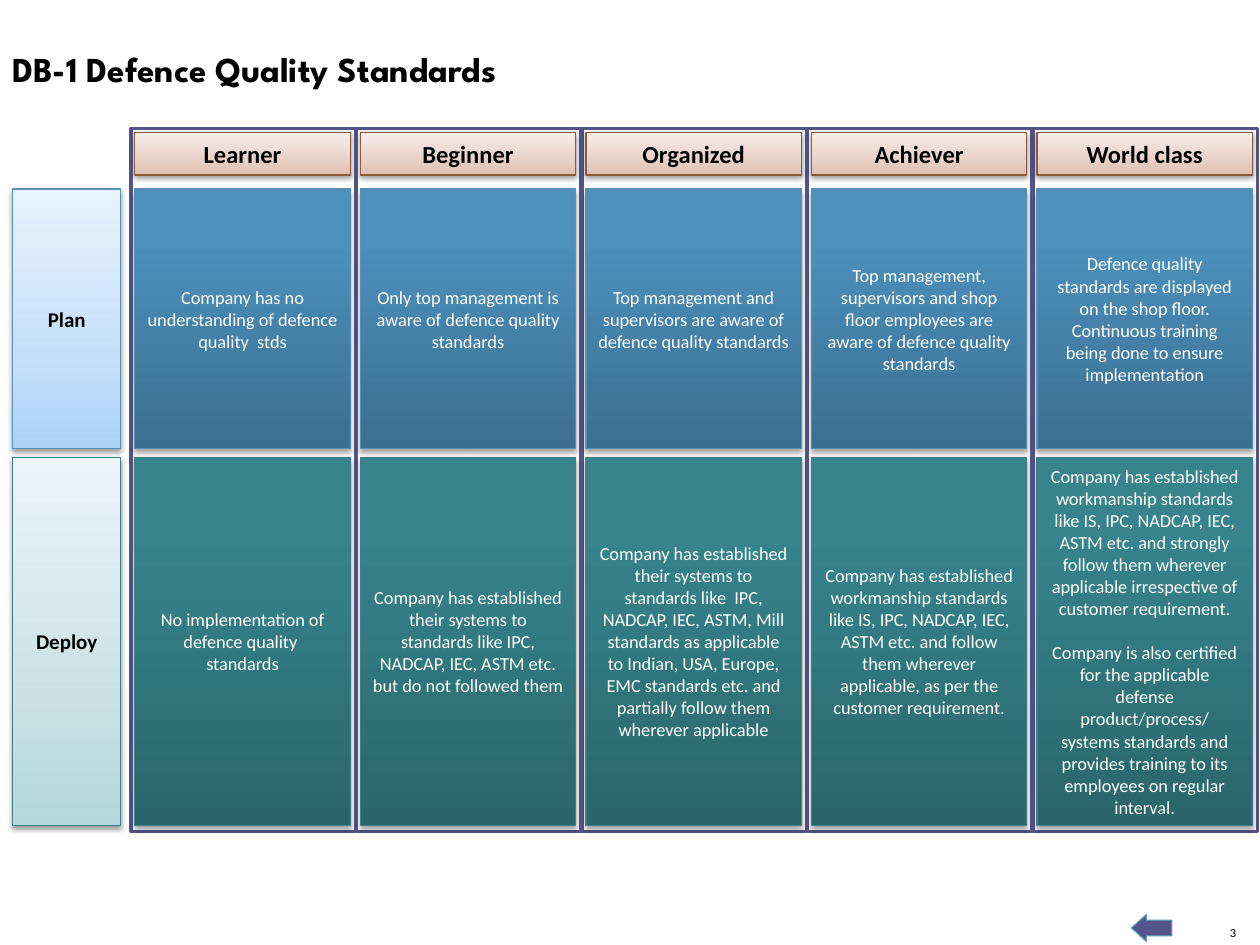
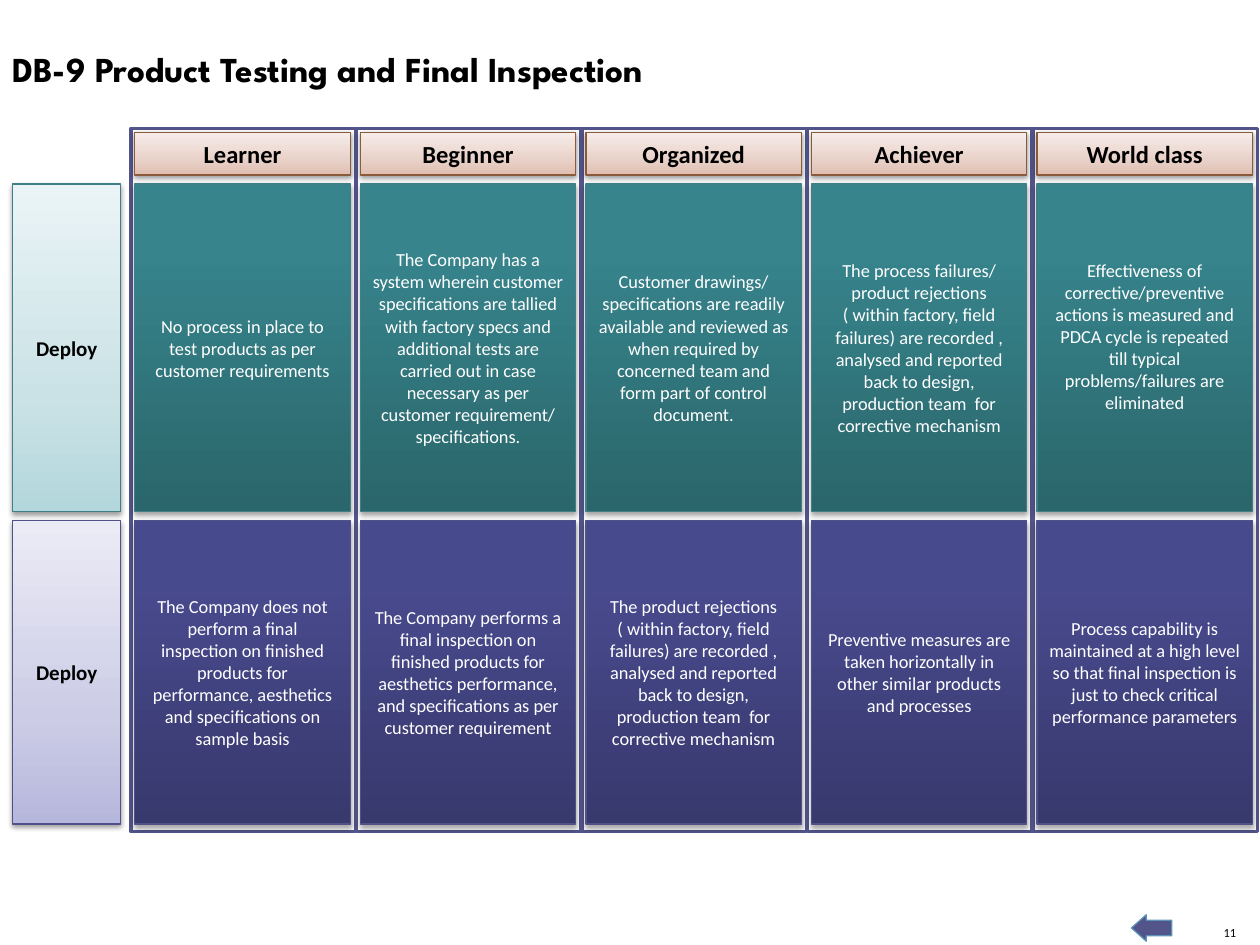
from lxml.etree import SubElement
from pptx import Presentation
from pptx.dml.color import RGBColor
from pptx.enum.shapes import MSO_SHAPE
from pptx.enum.text import MSO_ANCHOR, MSO_AUTO_SIZE, PP_ALIGN
from pptx.oxml.ns import qn
from pptx.util import Inches, Pt

BLACK = RGBColor(0x00, 0x00, 0x00)
WHITE = RGBColor(0xFF, 0xFF, 0xFF)
FRAME = RGBColor(0x53, 0x54, 0x8A)
ARROW_EDGE = RGBColor(0x5C, 0x92, 0xB5)
HEADER_EDGE = RGBColor(0x8A, 0x5B, 0x3A)
BLUE_EDGE = RGBColor(0x58, 0x8F, 0xB3)
TEAL_EDGE = RGBColor(0x40, 0x7F, 0x85)
INDIGO_EDGE = RGBColor(0x50, 0x51, 0x88)


def stops(middle, *colors):
    """Gradient stops from bottom to top, the second one at middle percent."""
    return [(at, RGBColor.from_string(color)) for at, color in zip((0, middle, 100), colors)]


HEADER_FILL = stops(35, "E0BEB0", "E8D1C8", "F7EDEA")
PALETTES = {
    "blue": {"edge": BLUE_EDGE,
             "label": stops(35, "ABD3F8", "C4DFF9", "E7F3FE"),
             "cell": stops(80, "3B6F91", "4C90BC", "4A91BF")},
    "teal": {"edge": TEAL_EDGE,
             "label": stops(35, "B3D7DC", "CAE2E6", "EAF4F6"),
             "cell": stops(80, "2A666B", "37848C", "36868E")},
    "indigo": {"edge": INDIGO_EDGE,
               "label": stops(35, "B6B7DC", "CCCCE6", "EBEBF6"),
               "cell": stops(80, "38396D", "484A8E", "474990")},
}

LEVELS = ["Learner", "Beginner", "Organized", "Achiever", "World class"]

# A cell is a list of paragraphs where it holds more than one;
# "lift" gives the extra bottom inset of the last cell in a row.
SLIDES = [
    {"title": "DB-1 Defence Quality Standards", "page": "3", "top": 1.5, "rows": [
        {"label": "Plan", "palette": "blue", "height": 2.06, "cells": [
            "Company has no understanding of defence quality  stds",
            "Only top management is aware of defence quality standards",
            "Top management and supervisors are aware of defence quality standards",
            "Top management, supervisors and shop floor employees are aware of defence "
            "quality standards",
            "Defence quality standards are displayed on the shop floor. Continuous training "
            "being done to ensure implementation",
        ]},
        {"label": "Deploy", "palette": "teal", "height": 2.92, "cells": [
            "No implementation of defence quality  standards",
            "Company has established their systems to standards like IPC, NADCAP, IEC, ASTM "
            "etc. but do not followed them ",
            "Company has established their systems to standards like  IPC, NADCAP, IEC, ASTM, "
            "Mill standards as applicable to Indian, USA, Europe, EMC standards etc. and "
            "partially follow them wherever applicable",
            "Company has established workmanship standards like IS, IPC, NADCAP, IEC, ASTM "
            "etc. and follow them wherever applicable, as per the customer requirement.",
            ["Company has established workmanship standards like IS, IPC, NADCAP, IEC, ASTM "
             "etc. and strongly follow them wherever applicable irrespective of customer "
             "requirement.",
             "Company is also certified for the applicable defense product/process/",
             "systems standards and provides training to its employees on regular interval."],
        ]},
    ]},
    {"title": "DB-9 Product Testing and Final Inspection", "page": "11", "top": 1.46, "rows": [
        {"label": "Deploy", "palette": "teal", "height": 2.6, "lift": 0.18, "cells": [
            "No process in place to test products as per customer requirements",
            "The Company has a system wherein customer specifications are tallied with factory "
            "specs and additional tests are carried out in case necessary as per customer "
            "requirement/ specifications.",
            "Customer drawings/ specifications are readily available and reviewed as when "
            "required by concerned team and form part of control document.",
            "The process failures/ product rejections ( within factory, field failures) are "
            "recorded , analysed and reported back to design, production team  for corrective "
            "mechanism",
            "Effectiveness of corrective/preventive actions is measured and PDCA cycle is "
            "repeated till typical problems/failures are eliminated",
        ]},
        {"label": "Deploy", "palette": "indigo", "height": 2.41, "cells": [
            "The Company does not perform a final inspection on finished products for "
            "performance, aesthetics and specifications on sample basis",
            "The Company performs a final inspection on finished products for aesthetics "
            "performance, and specifications as per customer requirement",
            "The product rejections ( within factory, field failures) are recorded , analysed "
            "and reported back to design, production team  for corrective mechanism",
            "Preventive measures are taken horizontally in other similar products and processes",
            "Process capability is maintained at a high level so that final inspection is just "
            "to check critical performance parameters",
        ]},
    ]},
]

TITLE_FONT = {"name": "League Spartan", "size": Pt(20), "bold": True}
PAGE_FONT = {"name": "Calibri", "size": Pt(7.1)}
HEADER_FONT = {"name": "Calibri", "size": Pt(14), "bold": True}
LABEL_FONT = {"name": "Calibri", "size": Pt(12), "bold": True}
CELL_FONT = {"name": "Calibri", "size": Pt(10.5)}
LABEL_SHADOW = {"alpha": 38, "distance": 1.6}
CELL_SHADOW = {"alpha": 35, "distance": 1.8}
SHADOW_BLUR = 3.1

LABEL_LEFT, LABEL_WIDTH = 0.1, 0.86
FRAME_LEFT, FRAME_TOP, FRAME_WIDTH, FRAME_HEIGHT = 1.04, 1.02, 1.78, 5.58
COLUMN_STEP, CELL_INSET, CELL_WIDTH = 1.79, 0.03, 1.71
HEADER_HEIGHT, ROW_GAP = 0.34, 0.07
SECTION_GAP = Pt(12.8)


def write(frame, paragraphs, font, color, align):
    for index, text in enumerate(paragraphs):
        paragraph = frame.paragraphs[0] if index == 0 else frame.add_paragraph()
        paragraph.text = text
        paragraph.alignment = align
        for key, value in font.items():
            setattr(paragraph.font, key, value)
        paragraph.font.color.rgb = color


def add_shape(slide, box, edge, weight, kind=MSO_SHAPE.RECTANGLE):
    shape = slide.shapes.add_shape(kind, *map(Inches, box))
    shape.line.color.rgb = edge
    shape.line.width = Pt(weight)
    shape.shadow.inherit = False
    return shape


def add_solid(slide, box, fill, edge, weight, kind=MSO_SHAPE.RECTANGLE):
    shape = add_shape(slide, box, edge, weight, kind)
    shape.fill.solid()
    shape.fill.fore_color.rgb = fill
    return shape


def add_gradient(shape, gradient):
    shape.fill.gradient()
    shape.fill.gradient_angle = 90
    stop_list = shape._element.spPr.find(qn("a:gradFill")).find(qn("a:gsLst"))
    stop_list.clear()
    for at, color in gradient:
        stop = SubElement(stop_list, qn("a:gs"), pos=str(at * 1000))
        SubElement(stop, qn("a:srgbClr"), val=str(color))


def add_shadow(shape, alpha, distance):
    effects = shape._element.spPr.find(qn("a:effectLst"))
    shadow = SubElement(effects, qn("a:outerShdw"), blurRad=str(Pt(SHADOW_BLUR)),
                        dist=str(Pt(distance)), dir="5400000", rotWithShape="0")
    color = SubElement(shadow, qn("a:srgbClr"), val=str(BLACK))
    SubElement(color, qn("a:alpha"), val=str(alpha * 1000))


def add_tile(slide, box, content, gradient, edge, font, color, shadow):
    """Add a shaded, shadowed rectangle with centred text."""
    tile = add_shape(slide, box, edge, 0.75)
    add_gradient(tile, gradient)
    add_shadow(tile, **shadow)
    frame = tile.text_frame
    frame.word_wrap = True
    frame.vertical_anchor = MSO_ANCHOR.MIDDLE
    paragraphs = [content] if isinstance(content, str) else content
    write(frame, paragraphs, font, color, PP_ALIGN.CENTER)
    if len(paragraphs) > 1:
        frame.paragraphs[1].space_before = SECTION_GAP
    return tile


def add_title(slide, title):
    frame = slide.shapes.add_textbox(*map(Inches, (0, 0.33, 8.6, 0.44))).text_frame
    frame.word_wrap = True
    frame.auto_size = MSO_AUTO_SIZE.SHAPE_TO_FIT_TEXT
    write(frame, [title], TITLE_FONT, BLACK, PP_ALIGN.LEFT)


def add_footer(slide, page):
    frame = slide.shapes.add_textbox(*map(Inches, (9.69, 7.34, 0.12, 0.12))).text_frame
    for side in ("left", "top", "right", "bottom"):
        setattr(frame, f"margin_{side}", 0)
    frame.word_wrap = False
    frame.auto_size = MSO_AUTO_SIZE.SHAPE_TO_FIT_TEXT
    frame.vertical_anchor = MSO_ANCHOR.BOTTOM
    write(frame, [page], PAGE_FONT, BLACK, PP_ALIGN.RIGHT)
    arrow = add_solid(slide, (8.98, 7.26, 0.32, 0.21), FRAME, ARROW_EDGE, 0.75,
                      MSO_SHAPE.LEFT_ARROW)
    arrow.adjustments[0] = 0.59
    arrow.adjustments[1] = 0.56


def add_row(slide, row, top, cell_lefts):
    palette = PALETTES[row["palette"]]
    height = row["height"]
    add_tile(slide, (LABEL_LEFT, top, LABEL_WIDTH, height), row["label"],
             palette["label"], palette["edge"], LABEL_FONT, BLACK, LABEL_SHADOW)
    for left, content in zip(cell_lefts, row["cells"]):
        cell = add_tile(slide, (left, top, CELL_WIDTH, height), content,
                        palette["cell"], palette["edge"], CELL_FONT, WHITE, CELL_SHADOW)
    cell.text_frame.margin_bottom += Inches(row.get("lift", 0))


def add_matrix(slide, top, rows):
    frame_lefts = [FRAME_LEFT + i * COLUMN_STEP for i in range(len(LEVELS))]
    cell_lefts = [left + CELL_INSET for left in frame_lefts]
    for left in frame_lefts:
        add_solid(slide, (left, FRAME_TOP, FRAME_WIDTH, FRAME_HEIGHT), WHITE, FRAME, 2)
    for row in rows:
        add_row(slide, row, top, cell_lefts)
        top += row["height"] + ROW_GAP
    for left, level in zip(cell_lefts, LEVELS):
        add_tile(slide, (left, FRAME_TOP + CELL_INSET, CELL_WIDTH, HEADER_HEIGHT), level,
                 HEADER_FILL, HEADER_EDGE, HEADER_FONT, BLACK, LABEL_SHADOW)


def main():
    deck = Presentation()
    deck.slide_width, deck.slide_height = Inches(10), Inches(7.5)
    for content in SLIDES:
        slide = deck.slides.add_slide(deck.slide_layouts[6])
        add_footer(slide, content["page"])
        add_title(slide, content["title"])
        add_matrix(slide, content["top"], content["rows"])
    deck.save("out.pptx")


if __name__ == "__main__":
    main()
